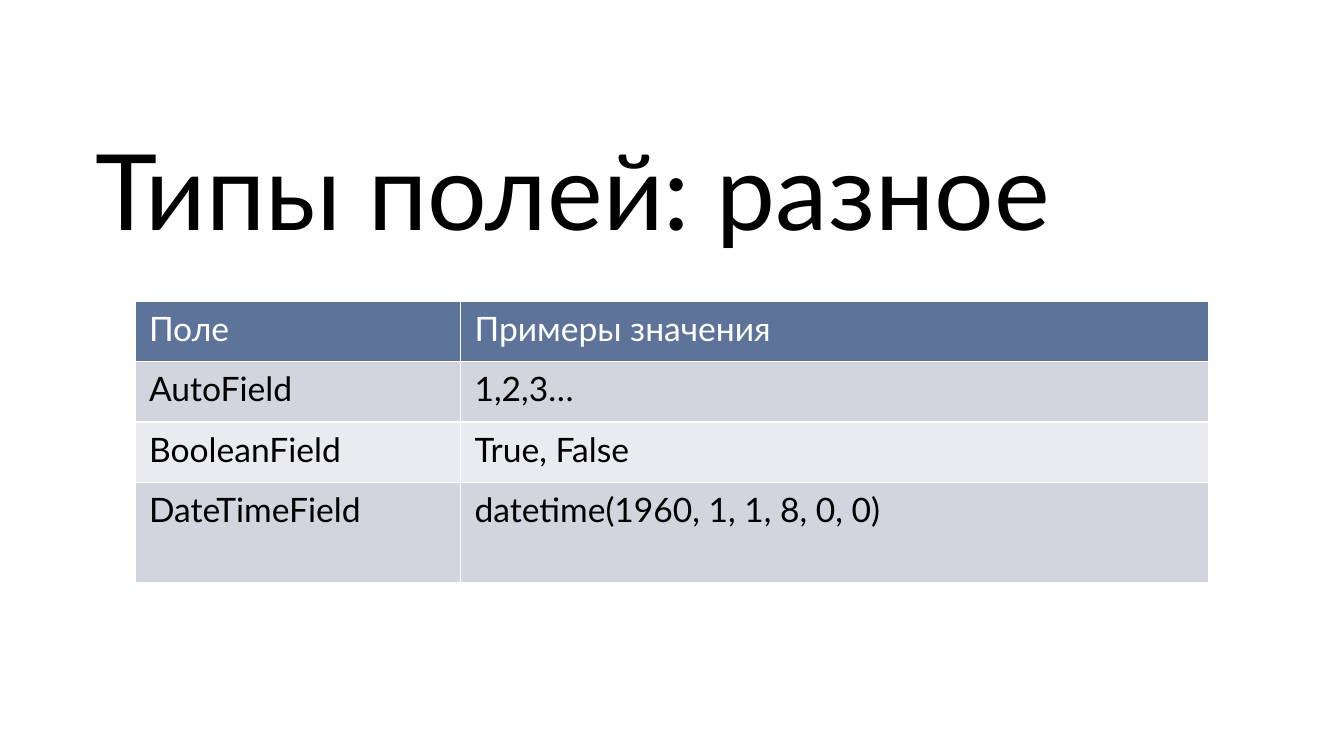
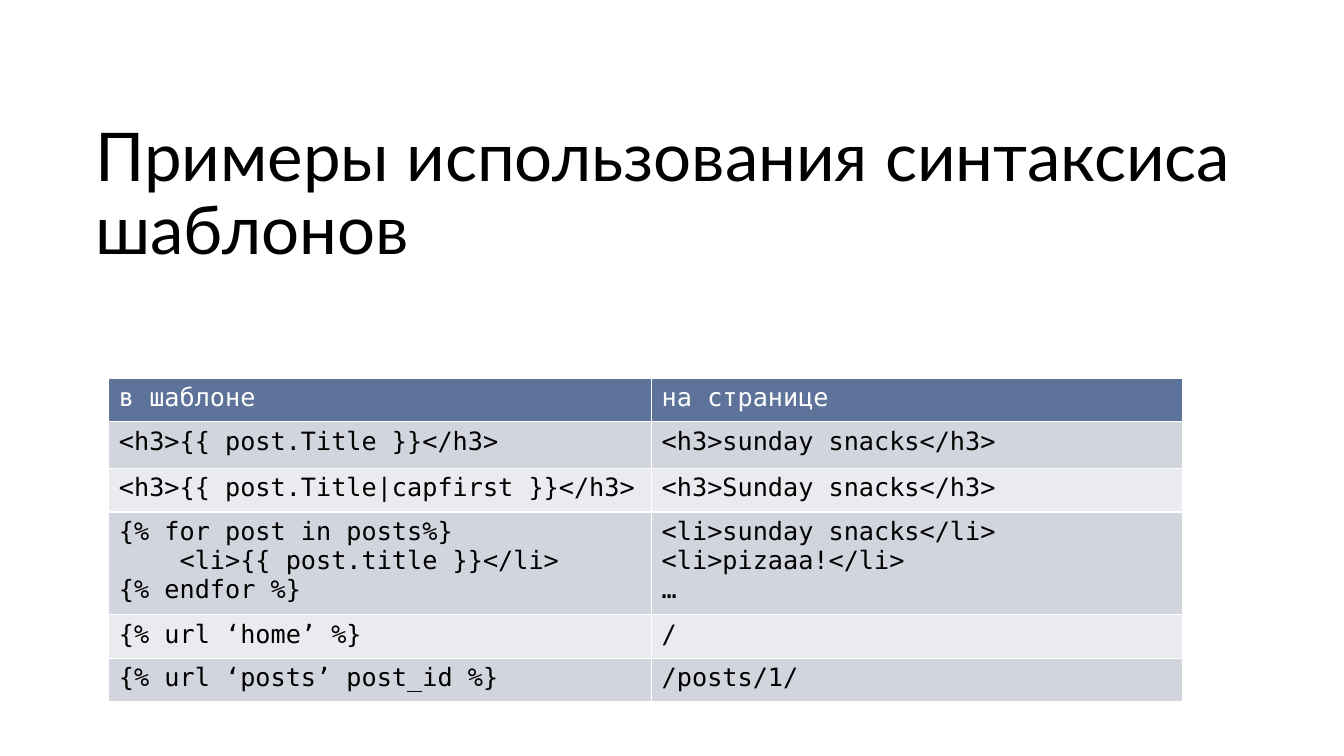
from pptx import Presentation
from pptx.dml.color import RGBColor
from pptx.enum import text
from pptx.oxml import parse_xml
from pptx.oxml.ns import nsdecls
from pptx.util import Pt

# Shared look
WHITE = RGBColor(0xFF, 0xFF, 0xFF)
BLACK = RGBColor(0x00, 0x00, 0x00)
HEADER_BLUE = RGBColor(0x5D, 0x73, 0x9A)
BAND_DARK = RGBColor(0xD2, 0xD5, 0xDE)
BAND_LIGHT = RGBColor(0xEA, 0xEB, 0xEF)
TITLE_FONT = "Lato"
CODE_FONT = "DejaVu Sans Mono"
CODE_INDENT = Pt(43.35)  # four monospaced characters at 18 pt


def style_paragraph(paragraph, font_name, size, color):
    paragraph.alignment = text.PP_ALIGN.LEFT
    for run in paragraph.runs:
        run.font.name = font_name
        run.font.size = Pt(size)
        run.font.bold = False
        run.font.color.rgb = color


def add_cell_borders(cell):
    properties = cell._tc.get_or_add_tcPr()
    for side in ("lnL", "lnR", "lnT", "lnB"):
        properties.append(parse_xml(
            f'<a:{side} {nsdecls("a")} w="{Pt(1)}"><a:solidFill>'
            f'<a:srgbClr val="{WHITE}"/></a:solidFill></a:{side}>'))


# Content; a tab at the start of a line stands for one code indent
lessons = [
    dict(
        title="Типы полей: разное", title_size=75.2,
        left=96.5, top=215.5, widths=[232.5, 534.5], heights=[43, 43, 43, 72],
        font=TITLE_FONT, size=24, margins=(10, 5),
        rows=[
            ("Поле", "Примеры значения"),
            ("AutoField", "1,2,3…"),
            ("BooleanField", "True, False"),
            ("DateTimeField", "datetime(1960, 1, 1, 8, 0, 0)"),
        ],
    ),
    dict(
        title="Примеры использования синтаксиса шаблонов", title_size=48,
        left=77.75, top=270.25, widths=[387.75, 379],
        heights=[31, 33.5, 31, 73.5, 31, 31],
        font=CODE_FONT, size=18, margins=(7.2, 3.6),
        rows=[
            ("в шаблоне", "на странице"),
            ("<h3>{{ post.Title }}</h3>", "<h3>sunday snacks</h3>"),
            ("<h3>{{ post.Title|capfirst }}</h3>", "<h3>Sunday snacks</h3>"),
            ("{% for post in posts%}\n\t<li>{{ post.title }}</li>\n{% endfor %}",
             "<li>sunday snacks</li>\n<li>pizaaa!</li>\n…"),
            ("{% url ‘home’ %}", "/"),
            ("{% url ‘posts’ post_id %}", "/posts/1/"),
        ],
    ),
]

deck = Presentation()
deck.slide_width, deck.slide_height = Pt(960), Pt(540)
title_only = deck.slide_layouts[5]

for lesson in lessons:
    slide = deck.slides.add_slide(title_only)

    # Title
    title = slide.shapes.title
    title.left, title.top, title.width, title.height = Pt(68), Pt(88), Pt(828), Pt(104)
    heading = title.text_frame
    heading.text = lesson["title"]
    heading.word_wrap = True
    heading.auto_size = text.MSO_AUTO_SIZE.NONE
    heading.vertical_anchor = text.MSO_ANCHOR.MIDDLE
    heading.margin_left = heading.margin_right = 0
    heading.margin_top = heading.margin_bottom = 0
    heading.paragraphs[0].line_spacing = 0.9
    style_paragraph(heading.paragraphs[0], TITLE_FONT, lesson["title_size"], BLACK)

    # Table grid
    rows, widths, heights = lesson["rows"], lesson["widths"], lesson["heights"]
    table = slide.shapes.add_table(
        len(rows), len(widths), Pt(lesson["left"]), Pt(lesson["top"]),
        Pt(sum(widths)), Pt(sum(heights))).table
    for column, width in zip(table.columns, widths):
        column.width = Pt(width)
    for row, height in zip(table.rows, heights):
        row.height = Pt(height)

    # Table cells
    side_margin, end_margin = lesson["margins"]
    for r, entries in enumerate(rows):
        if r == 0:
            fill, ink = HEADER_BLUE, WHITE
        else:
            fill, ink = (BAND_DARK if r % 2 else BAND_LIGHT), BLACK
        for c, entry in enumerate(entries):
            cell = table.cell(r, c)
            add_cell_borders(cell)
            cell.fill.solid()
            cell.fill.fore_color.rgb = fill
            cell.margin_left = cell.margin_right = Pt(side_margin)
            cell.margin_top = cell.margin_bottom = Pt(end_margin)
            lines = entry.split("\n")
            cell.text_frame.text = "\n".join(line.strip() for line in lines)
            for line, paragraph in zip(lines, cell.text_frame.paragraphs):
                style_paragraph(paragraph, lesson["font"], lesson["size"], ink)
                if line.startswith("\t"):
                    paragraph._p.get_or_add_pPr().set("marL", str(CODE_INDENT))

deck.save("out.pptx")
